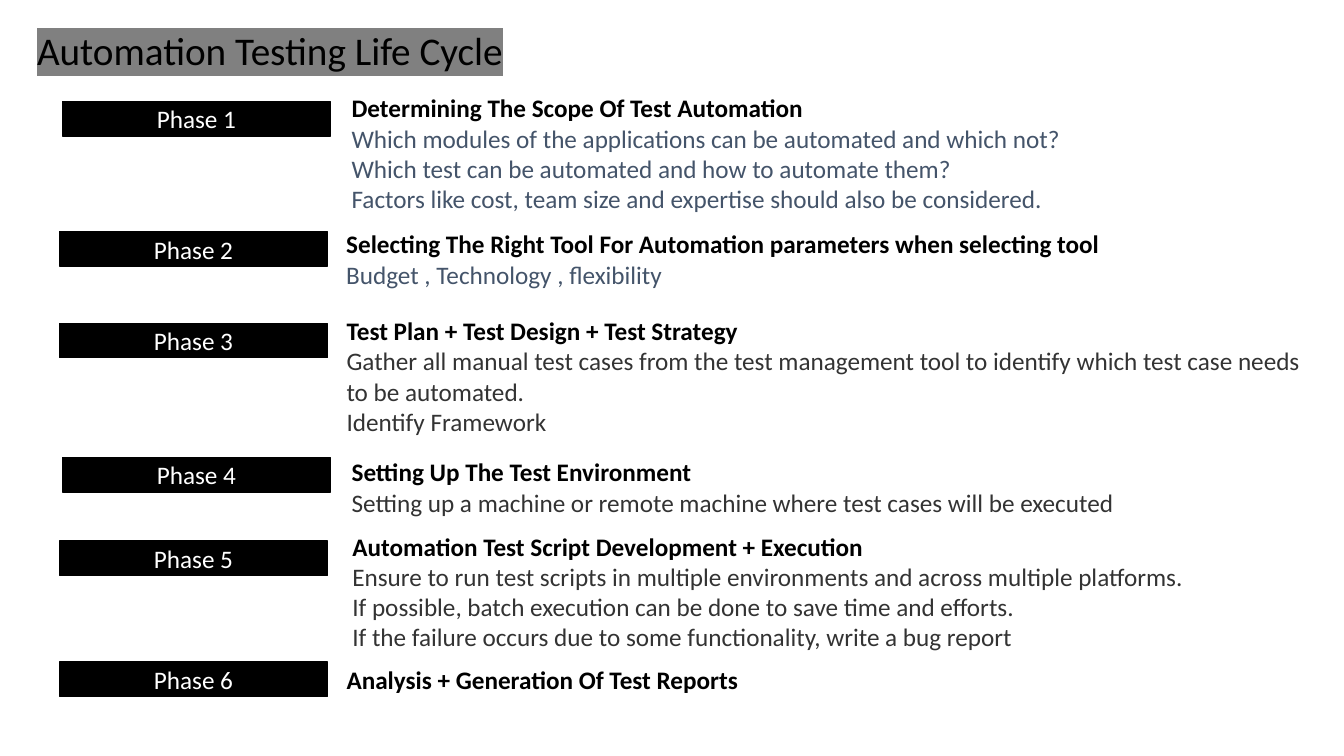
"""Build the slide on the phases of the automation testing life cycle."""
from dataclasses import dataclass
from typing import Any, NamedTuple

from lxml import etree
from pptx import Presentation
from pptx import util as u
from pptx.dml import color
from pptx.enum import shapes, text
from pptx.oxml import ns


@dataclass(frozen=True)
class Theme:
    face: str = "Calibri"
    black: str = "000000"
    white: str = "FFFFFF"
    slate: str = "44546A"
    dark: str = "333333"
    mark: str = "808080"
    big: float = 28
    base: float = 18
    line: float = 1


class Box(NamedTuple):
    left: float
    top: float
    width: float
    height: float


@dataclass(frozen=True)
class Phase:
    bar: tuple[float, float]
    note: Box
    head: str
    tint: str = ""
    body: tuple[str, ...] = ()


LOOK = Theme()
BAR_W, BAR_H = 191.5, 24.5
PHASES = [
    Phase((44.6, 72.7), Box(244.1, 62.6, 671.8, 116.6),
          "Determining The Scope Of Test Automation", LOOK.slate,
          ("Which modules of the applications can be automated and which not?",
           "Which test can be automated and how to automate them?",
           "Factors like cost, team size and expertise should also be considered.")),
    Phase((42.5, 165.6), Box(240.2, 159.8, 600, 51.1),
          "Selecting The Right Tool For Automation parameters when selecting tool",
          LOOK.slate, ("Budget , Technology , flexibility",)),
    Phase((42.5, 231.1), Box(240.5, 221.8, 700.6, 94.3),
          "Test Plan + Test Design + Test Strategy", LOOK.dark,
          ("Gather all manual test cases from the test management tool to identify "
           "which test case needs to be automated.",
           "Identify Framework")),
    Phase((44.6, 326.9), Box(244.1, 322.6, 707.8, 51.1),
          "Setting Up The Test Environment", LOOK.dark,
          ("Setting up a machine or remote machine where test cases will be executed",)),
    Phase((42.5, 386.6), Box(244.6, 375.8, 710, 116.6),
          "Automation Test Script Development + Execution", LOOK.dark,
          ("Ensure to run test scripts in multiple environments and across multiple platforms.",
           "If possible, batch execution can be done to save time and efforts.",
           "If the failure occurs due to some functionality, write a bug report")),
    Phase((42.5, 473), Box(240.5, 470.9, 479.5, 28.8),
          "Analysis + Generation Of Test Reports"),
]


def apply(item: Any, form: dict[str, Any]) -> None:
    for name, value in form.items():
        setattr(item, name, value)


def place(box: Box) -> list[int]:
    return [u.Pt(side) for side in box]


def rgb(code: str) -> color.RGBColor:
    return color.RGBColor.from_string(code)


def write(para: Any, words: str, tint: str, size: float = LOOK.base,
          bold: bool = False) -> Any:
    run = para.add_run()
    run.text = words
    apply(run.font, {"name": LOOK.face, "size": u.Pt(size), "bold": bold})
    run.font.color.rgb = rgb(tint)
    return run


def add_text(slide: Any, box: Box) -> Any:
    frame = slide.shapes.add_textbox(*place(box)).text_frame
    frame.word_wrap = True
    return frame


def add_title(slide: Any, words: str) -> None:
    frame = add_text(slide, Box(19.4, 15.1, 480, 41))
    run = write(frame.paragraphs[0], words, LOOK.black, LOOK.big)
    glow = etree.Element(ns.qn("a:highlight"))
    etree.SubElement(glow, ns.qn("a:srgbClr"), val=LOOK.mark)
    run.font.fill._xPr.find(ns.qn("a:solidFill")).addnext(glow)


def add_bar(slide: Any, words: str, box: Box) -> None:
    bar = slide.shapes.add_shape(shapes.MSO_SHAPE.RECTANGLE, *place(box))
    bar.shadow.inherit = False
    for fill in (bar.fill, bar.line.fill):
        fill.solid()
        fill.fore_color.rgb = rgb(LOOK.black)
    bar.line.width = u.Pt(LOOK.line)
    frame = bar.text_frame
    apply(frame, {"word_wrap": True, "vertical_anchor": text.MSO_ANCHOR.MIDDLE})
    para = frame.paragraphs[0]
    para.alignment = text.PP_ALIGN.CENTER
    write(para, words, LOOK.white)


def add_note(slide: Any, phase: Phase) -> None:
    frame = add_text(slide, phase.note)
    write(frame.paragraphs[0], phase.head, LOOK.black, bold=True)
    for words in phase.body:
        write(frame.add_paragraph(), words, phase.tint)


def main() -> None:
    deck = Presentation()
    apply(deck, {"slide_width": u.Pt(960), "slide_height": u.Pt(540)})
    slide = deck.slides.add_slide(deck.slide_layouts[6])
    add_title(slide, "Automation Testing Life Cycle")
    for count, phase in enumerate(PHASES, 1):
        add_bar(slide, f"Phase {count}", Box(*phase.bar, BAR_W, BAR_H))
        add_note(slide, phase)
    deck.save("out.pptx")


main()
